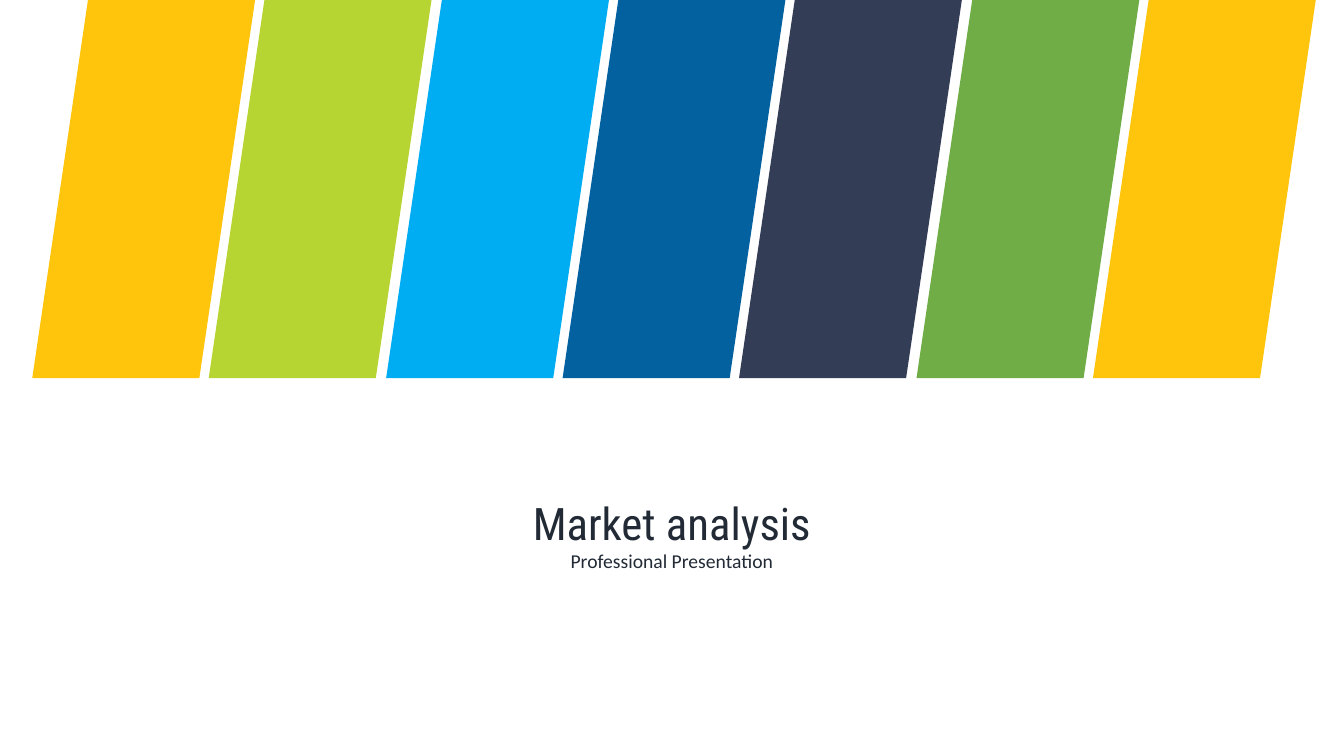
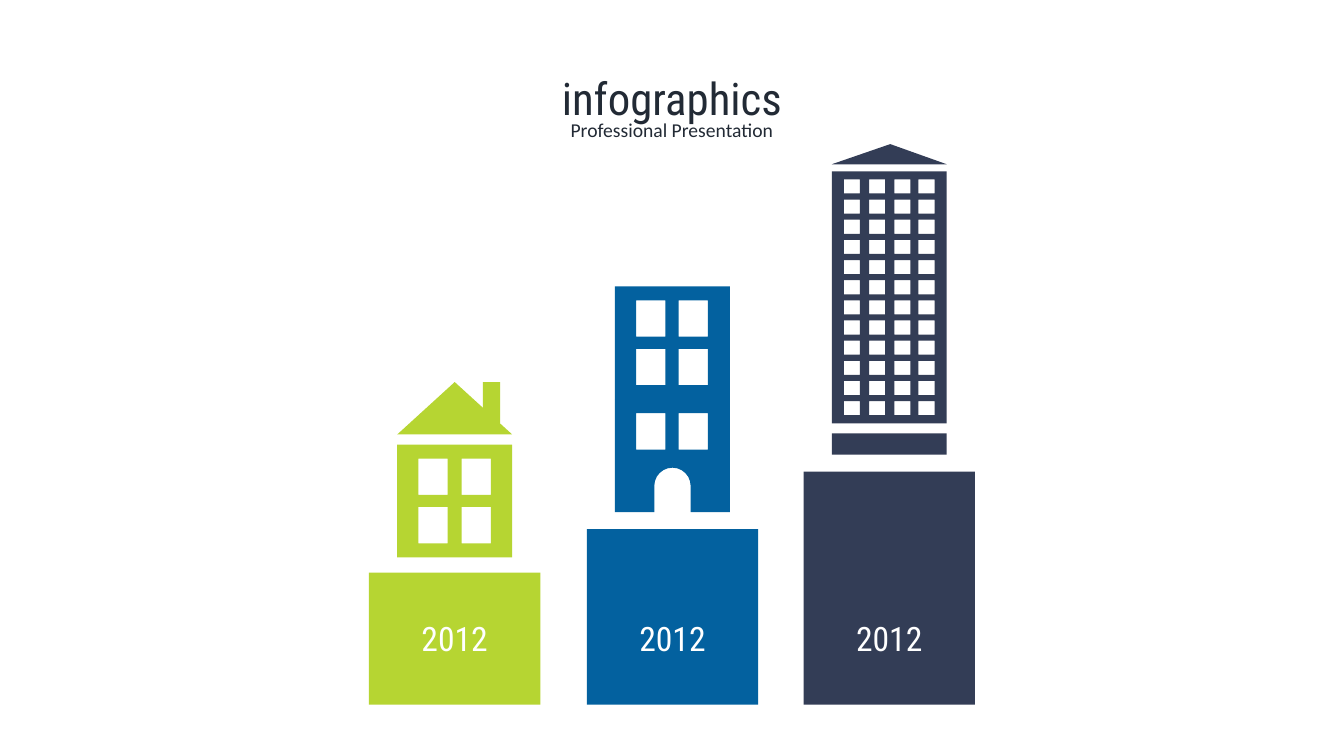
"""Build a market analysis cover and a building infographic."""
from math import cos, pi, sin

from pptx import Presentation
from pptx import util as u
from pptx.dml.color import RGBColor
from pptx.enum import shapes, text

PX = 9144
HUES = {"gold": "FFC50C", "lime": "B6D532", "sky": "00ADF2", "blue": "03619F",
        "navy": "333D56", "green": "70AD47", "ink": "222A35", "white": "FFFFFF"}
STYLES = {
    "title": ({"name": "Roboto Condensed", "size": u.Pt(32)}, "ink", 64),
    "sub": ({"name": "Calibri", "size": u.Pt(14)}, "ink", 34),
    "year": ({"name": "Roboto Condensed", "size": u.Pt(24)}, "white", 50),
}


def paint(shape, hue):
    shape.shadow.inherit = False
    shape.fill.solid()
    shape.fill.fore_color.rgb = RGBColor.from_string(HUES[hue])
    shape.line.fill.background()


def write(page, words, style, left, top, width):
    font, hue, height = STYLES[style]
    box = page.shapes.add_textbox(*(n * PX for n in (left, top, width, height)))
    frame = box.text_frame
    frame.word_wrap = True
    frame.auto_size = text.MSO_AUTO_SIZE.SHAPE_TO_FIT_TEXT
    line = frame.paragraphs[0]
    line.alignment = text.PP_ALIGN.CENTER
    run = line.add_run()
    run.text = words
    for key, value in font.items():
        setattr(run.font, key, value)
    run.font.color.rgb = RGBColor.from_string(HUES[hue])


deck = Presentation()
deck.slide_width, deck.slide_height = u.Inches(13.33), u.Inches(7.5)
blank = deck.slide_layouts[6]

cover = deck.slides.add_slide(blank)
for i, hue in enumerate(["gold", "lime", "sky", "blue", "navy", "green", "gold"]):
    left = 32 + round(i * 175.33)
    paint(cover.shapes.add_shape(shapes.MSO_SHAPE.PARALLELOGRAM,
                                 left * PX, 0, 221 * PX, 375 * PX), hue)
write(cover, "Market analysis", "title", 0, 487, 1333)
write(cover, "Professional Presentation", "sub", 68, 540, 1197)

chart = deck.slides.add_slide(blank)
slabs = [("lime", 366, 568), ("blue", 582, 525), ("navy", 797, 468)]
base, wide = 699, 170
rects = [(hue, left, top, wide, base - top) for hue, left, top in slabs]
rects += [("lime", 479, 379, 17, 41), ("navy", 825, 430, 114, 21)]
for hue, *spot in rects:
    paint(chart.shapes.add_shape(shapes.MSO_SHAPE.RECTANGLE,
                                 *(n * PX for n in spot)), hue)

mid, spring, rad, steps = 667, 482, 18, 12
arch = [(mid + rad * cos(pi * i / steps), spring - rad * sin(pi * i / steps))
        for i in range(steps + 1)]
door = [(mid + rad, 508), *arch, (mid - rad, 508)]

pairs = (29, 36)
forms = [
    ("lime", [(451, 379), (508, 431), (394, 431)], [], [], pairs),
    ("lime", [(394, 441), (508, 441), (508, 553), (394, 553)],
     [415, 458], [455, 503], pairs),
    ("blue", [(610, 284), (724, 284), (724, 396), (610, 396)],
     [631, 673], [298, 346], pairs),
    ("blue", [(610, 396), (724, 396), (724, 508), *door, (610, 508)],
     [631, 673], [410], pairs),
    ("navy", [(883, 143), (939, 163), (825, 163)], [], [], pairs),
    ("navy", [(825, 170), (939, 170), (939, 420), (825, 420)],
     [837, 862, 887, 911], range(178, 418, 20), (16, 14)),
]
for hue, edge, cols, rows, (w, h) in forms:
    rings = [edge] + [[(x, y), (x, y + h), (x + w, y + h), (x + w, y)]
                      for y in rows for x in cols]
    rings = [[(x * PX, y * PX) for x, y in ring] for ring in rings]
    draft = chart.shapes.build_freeform(*rings[0][0])
    for ring in rings:
        if ring is not rings[0]:
            draft.move_to(*ring[0])
        draft.add_line_segments(ring[1:], close=True)
    paint(draft.convert_to_shape(), hue)

for hue, left, top in slabs:
    write(chart, "2012", "year", left, 608, wide)
write(chart, "infographics", "title", 88, 65, 1157)
write(chart, "Professional Presentation", "sub", 88, 112, 1157)

deck.save("out.pptx")
